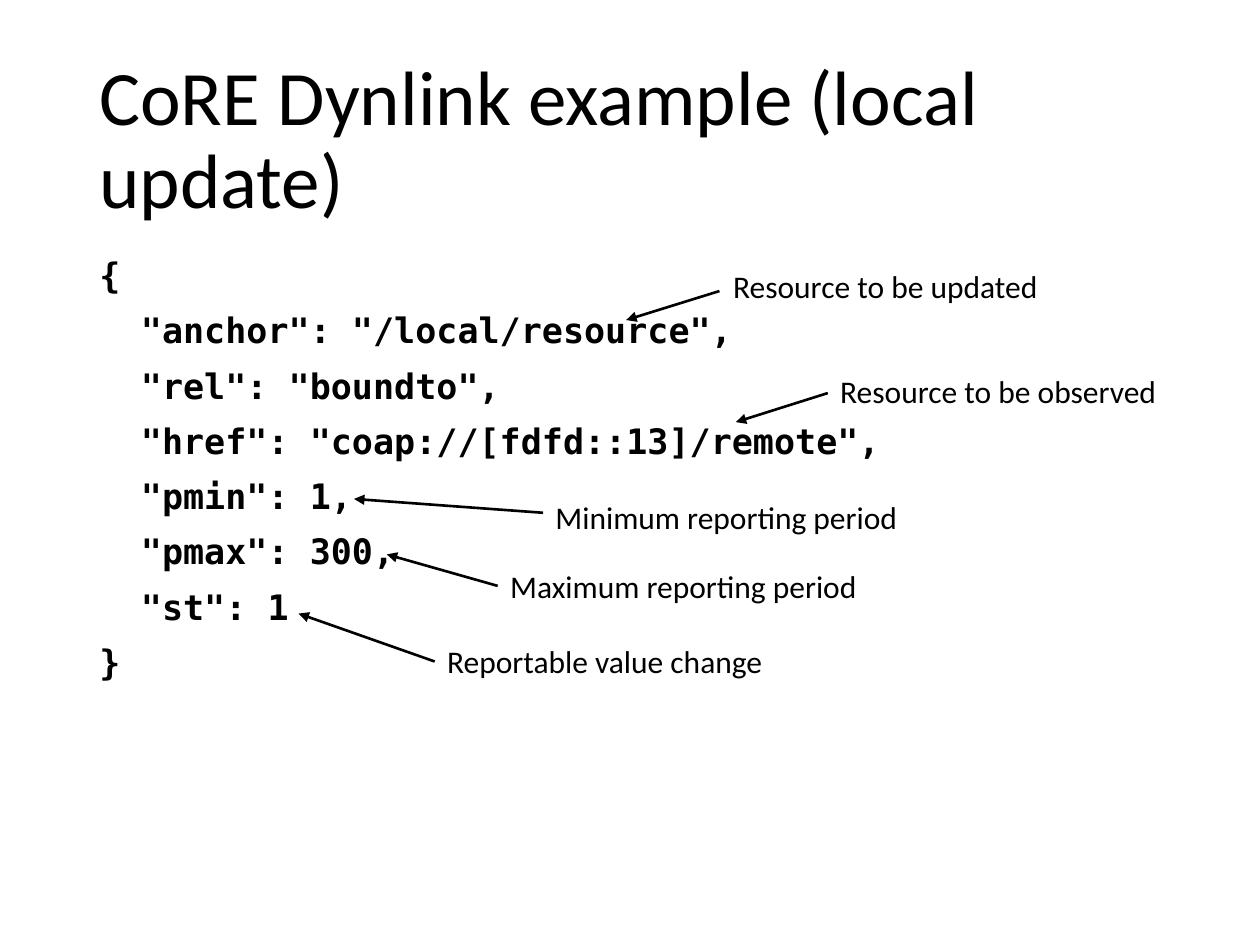
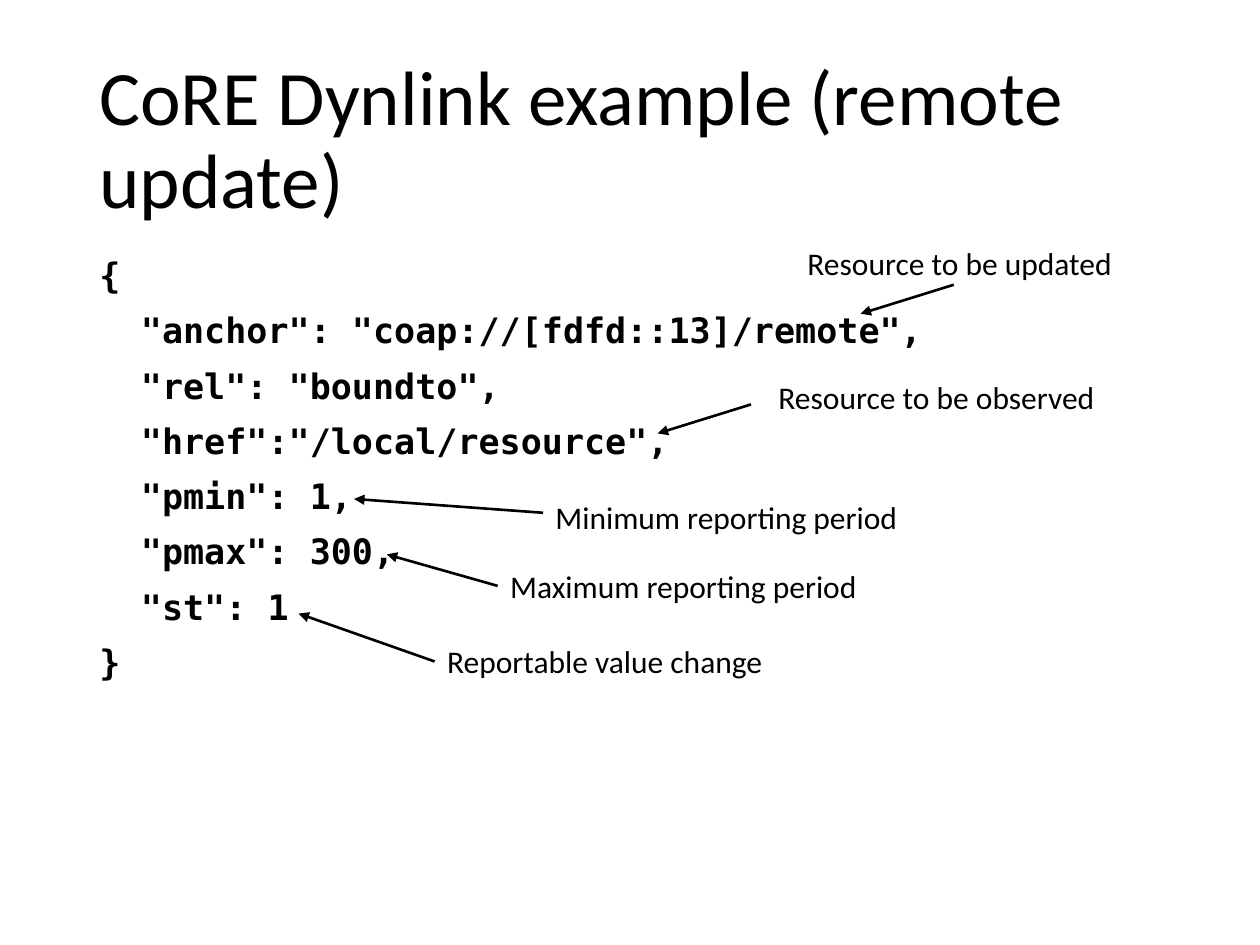
from dataclasses import dataclass

from lxml.etree import SubElement
from pptx import Presentation
from pptx.dml.color import RGBColor
from pptx.enum.shapes import MSO_CONNECTOR as Connector
from pptx.enum.text import MSO_ANCHOR as Anchor, MSO_AUTO_SIZE as AutoSize
from pptx.oxml.ns import qn
from pptx.slide import Slide
from pptx.text.text import TextFrame
from pptx.util import Inches, Pt

COLORS = {"background": "FFFFFF", "ink": "000000"}
BODY_FONT = "Calibri"
CODE_FONT = "DejaVu Sans Mono"
MARGIN, CONTENT_WIDTH = 0.69, 8.62
LABEL_HEIGHT = 0.4
CODE_INDENT = 0.33


@dataclass(frozen=True)
class TextStyle:
    font: str
    size: int
    bold: bool = False
    line_spacing: float = 1.0
    space_before: int = 0


@dataclass(frozen=True)
class Callout:
    text: str
    left: float
    top: float
    width: float
    start: tuple[float, float]
    end: tuple[float, float]


@dataclass(frozen=True)
class Example:
    title: str
    anchor: str
    href: str
    resource_callouts: tuple[Callout, ...]


TITLE_STYLE = TextStyle(BODY_FONT, 44, line_spacing=0.9)
CODE_STYLE = TextStyle(CODE_FONT, 20, bold=True, line_spacing=0.9, space_before=10)
LABEL_STYLE = TextStyle(BODY_FONT, 18)

PARAMETER_CALLOUTS = (
    Callout("Minimum reporting period", 4.31, 3.9, 3.82, (4.31, 4.07), (2.81, 3.96)),
    Callout("Maximum reporting period", 3.95, 4.45, 3.82, (3.95, 4.65), (3.07, 4.4)),
    Callout("Reportable value change", 3.45, 5.05, 3.82, (3.45, 5.25), (2.37, 4.87)),
)

EXAMPLES = (
    Example(
        "CoRE Dynlink example (local update)",
        '"anchor": "/local/resource",',
        '"href": "coap://[fdfd::13]/remote",',
        (
            Callout("Resource to be updated", 5.72, 2.07, 3.11, (5.71, 2.31), (4.97, 2.54)),
            Callout("Resource to be observed", 6.57, 2.9, 3.11, (6.57, 3.12), (5.84, 3.35)),
        ),
    ),
    Example(
        "CoRE Dynlink example (remote update)",
        '"anchor": "coap://[fdfd::13]/remote",',
        '"href":"/local/resource",',
        (
            Callout("Resource to be updated", 6.31, 1.89, 3.11, (7.57, 2.26), (6.83, 2.49)),
            Callout("Resource to be observed", 6.08, 2.95, 3.11, (5.96, 3.21), (5.22, 3.44)),
        ),
    ),
)


def color(name: str) -> RGBColor:
    return RGBColor.from_string(COLORS[name])


def add_text(slide: Slide, lines: list[str], left: float, top: float,
             width: float, height: float, style: TextStyle) -> TextFrame:
    shape = slide.shapes.add_textbox(Inches(left), Inches(top), Inches(width), Inches(height))
    frame = shape.text_frame
    frame.word_wrap = True
    frame.text = "\n".join(lines)
    for paragraph in frame.paragraphs:
        paragraph.line_spacing = style.line_spacing
        paragraph.space_before = Pt(style.space_before)
        paragraph.font.name = style.font
        paragraph.font.size = Pt(style.size)
        paragraph.font.bold = style.bold
        paragraph.font.color.rgb = color("ink")
    return frame


def add_title(slide: Slide, title: str) -> None:
    frame = add_text(slide, [title], MARGIN, 0.4, CONTENT_WIDTH, 1.45, TITLE_STYLE)
    frame.vertical_anchor = Anchor.MIDDLE


def add_code(slide: Slide, members: list[str]) -> None:
    lines = ["{", *members, "}"]
    frame = add_text(slide, lines, MARGIN, 2, CONTENT_WIDTH, 4.76, CODE_STYLE)
    for paragraph in frame.paragraphs[1:-1]:
        properties = paragraph._p.get_or_add_pPr()
        properties.set("marL", str(Inches(CODE_INDENT)))
        properties.set("indent", "0")


def add_arrow(slide: Slide, start: tuple[float, float], end: tuple[float, float]) -> None:
    points = [Inches(value) for value in (*start, *end)]
    connector = slide.shapes.add_connector(Connector.STRAIGHT, *points)
    connector.line.color.rgb = color("ink")
    connector.line.width = Pt(1.5)
    SubElement(connector.line._get_or_add_ln(), qn("a:tailEnd"), type="triangle")
    SubElement(connector._element.spPr, qn("a:effectLst"))


def add_callout(slide: Slide, callout: Callout) -> None:
    frame = add_text(slide, [callout.text], callout.left, callout.top,
                     callout.width, LABEL_HEIGHT, LABEL_STYLE)
    frame.auto_size = AutoSize.SHAPE_TO_FIT_TEXT
    add_arrow(slide, callout.start, callout.end)


def add_example(presentation: Presentation, example: Example) -> None:
    slide = presentation.slides.add_slide(presentation.slide_layouts[6])
    slide.background.fill.solid()
    slide.background.fill.fore_color.rgb = color("background")
    add_title(slide, example.title)
    add_code(slide, [example.anchor, '"rel": "boundto",', example.href,
                     '"pmin": 1,', '"pmax": 300,', '"st": 1'])
    for callout in PARAMETER_CALLOUTS + example.resource_callouts:
        add_callout(slide, callout)


def main() -> None:
    presentation = Presentation()
    presentation.slide_width = Inches(10)
    presentation.slide_height = Inches(7.5)
    for example in EXAMPLES:
        add_example(presentation, example)
    presentation.save("out.pptx")


main()
